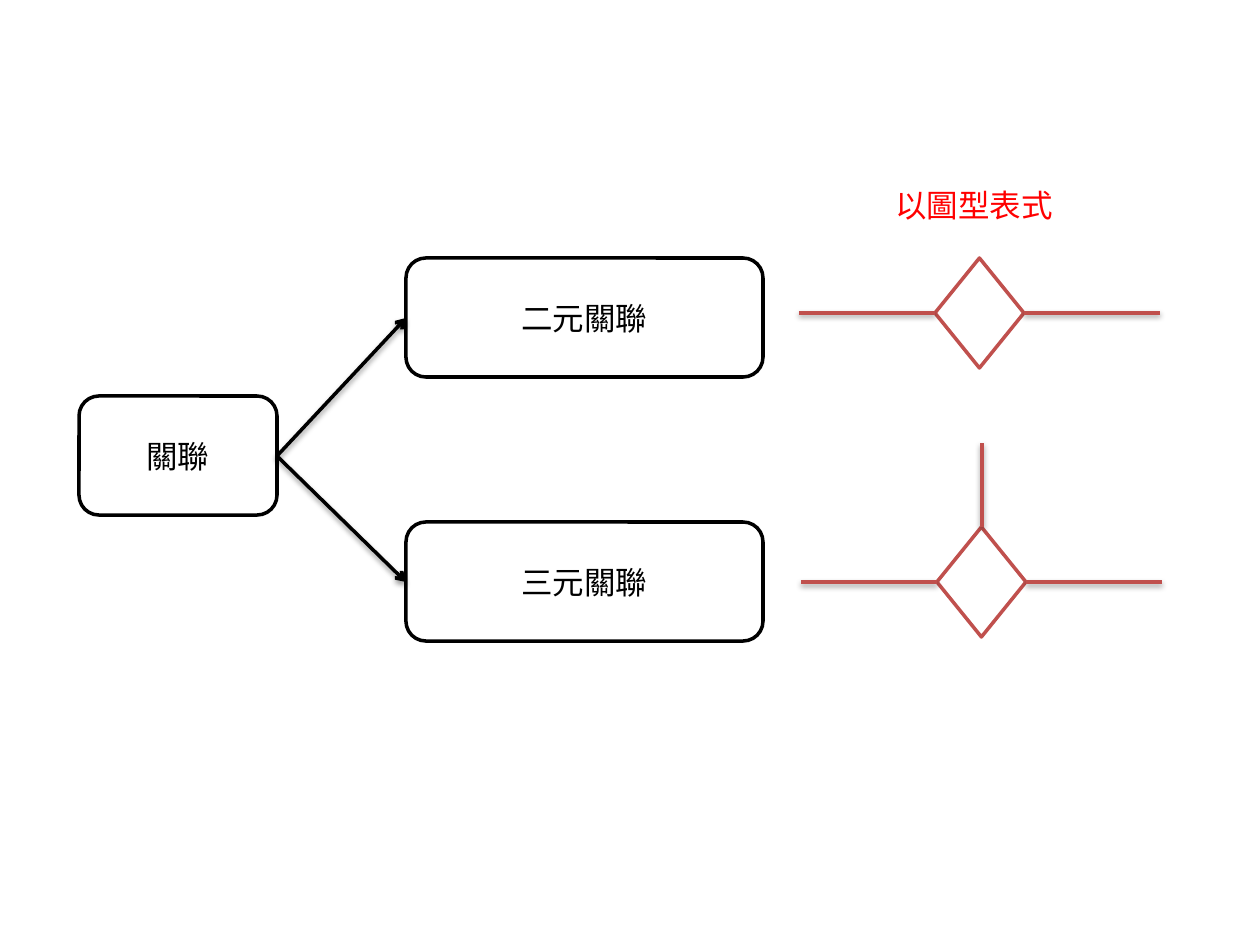
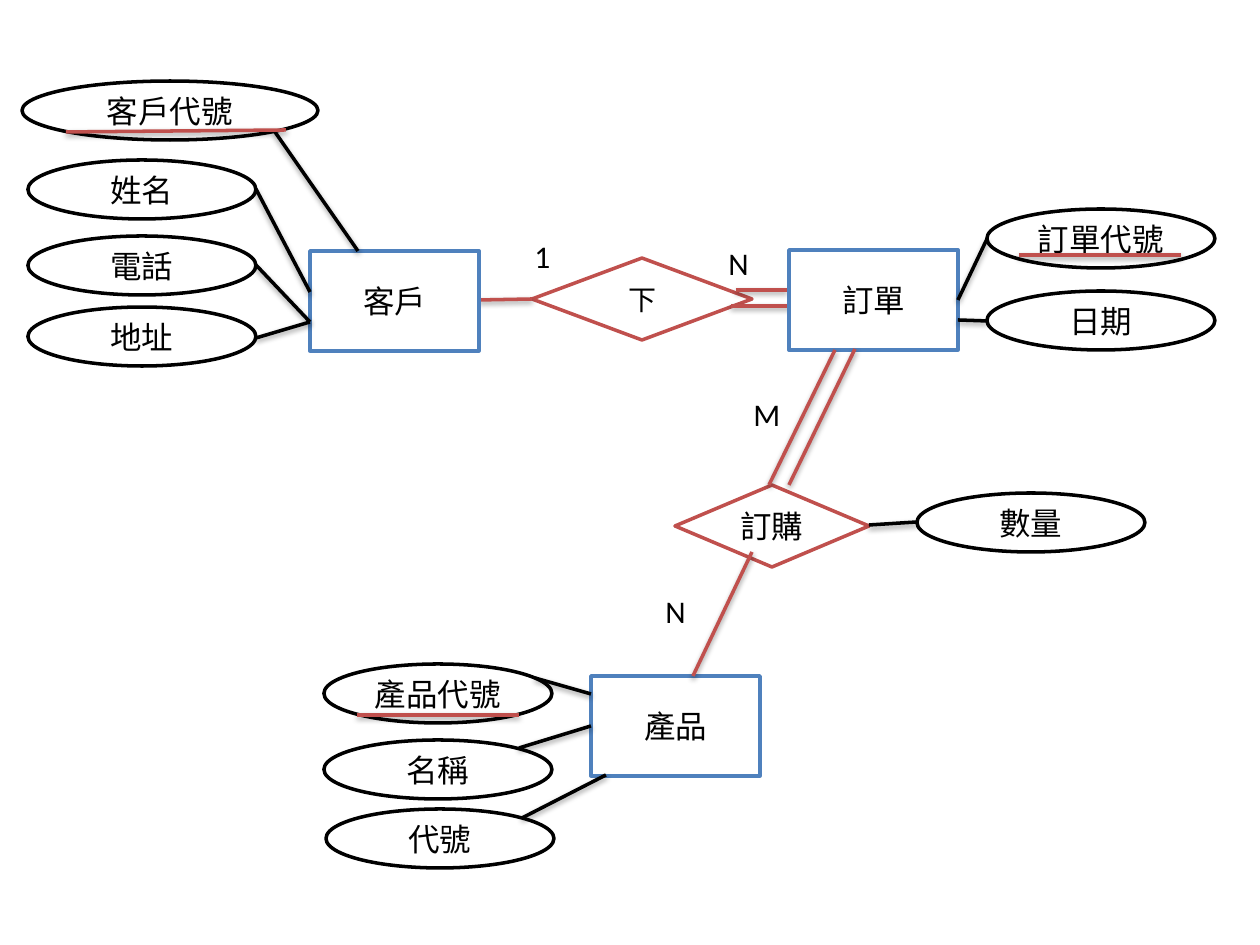
"""Entity-relationship notation and an example diagram, on two slides."""
from dataclasses import dataclass

from lxml import etree
from pptx import Presentation
from pptx import util as u
from pptx.dml.color import RGBColor
from pptx.enum import shapes, text
from pptx.oxml import ns

SCALE = 914400 // 126
FONT = "Calibri"
BLACK, WHITE, RED = "000000", "FFFFFF", "FF0000"
BLUE, BRICK = "4F81BD", "C0504D"
KIND = shapes.MSO_SHAPE


@dataclass
class Node:
    """An outlined shape with centred text."""
    kind: int
    x: int
    y: int
    w: int
    h: int
    words: str = ""
    color: str = BLACK
    size: int = 18


@dataclass
class Link:
    """A straight line between two points."""
    x1: int
    y1: int
    x2: int
    y2: int
    color: str = BLACK
    arrow: bool = False


@dataclass
class Label:
    """A free-standing text."""
    x: int
    y: int
    w: int
    words: str
    color: str = BLACK
    wrap: bool = False


def px(n: float) -> u.Emu:
    """Turn pixels into EMU."""
    return u.Emu(round(n * SCALE))


def rgb(color: str) -> RGBColor:
    """Turn a hex string into a colour."""
    return RGBColor.from_string(color)


def write(tf, words: str, color: str, size: int = 18) -> None:
    """Set the text of a frame and format its run."""
    tf.text = words
    for r in tf.paragraphs[0].runs:
        r.font.name, r.font.size = FONT, u.Pt(size)
        r.font.color.rgb = rgb(color)


def add_node(tree, n: Node) -> None:
    """Draw a node."""
    sp = tree.add_shape(n.kind, px(n.x), px(n.y), px(n.w), px(n.h))
    sp.shadow.inherit = False
    sp.fill.solid()
    sp.fill.fore_color.rgb = rgb(WHITE)
    sp.line.color.rgb, sp.line.width = rgb(n.color), u.Pt(2)
    if n.words:
        tf = sp.text_frame
        write(tf, n.words, BLACK, n.size)
        tf.vertical_anchor = text.MSO_ANCHOR.MIDDLE
        tf.paragraphs[0].alignment = text.PP_ALIGN.CENTER


def add_link(tree, k: Link) -> None:
    """Draw a line with a soft shadow and an optional arrowhead."""
    c = tree.add_connector(shapes.MSO_CONNECTOR.STRAIGHT,
                           px(k.x1), px(k.y1), px(k.x2), px(k.y2))
    c.line.color.rgb, c.line.width = rgb(k.color), u.Pt(2)
    pr = c._element.spPr
    if k.arrow:
        etree.SubElement(pr.find(ns.qn("a:ln")), ns.qn("a:tailEnd"), type="arrow")
    effects = etree.SubElement(pr, ns.qn("a:effectLst"))
    shadow = etree.SubElement(effects, ns.qn("a:outerShdw"), blurRad="40000",
                              dist="20000", dir="5400000", rotWithShape="0")
    tone = etree.SubElement(shadow, ns.qn("a:srgbClr"), val=BLACK)
    etree.SubElement(tone, ns.qn("a:alpha"), val="38000")


def add_label(tree, b: Label) -> None:
    """Draw a label."""
    tf = tree.add_textbox(px(b.x), px(b.y), px(b.w), px(50)).text_frame
    tf.word_wrap = b.wrap
    tf.auto_size = text.MSO_AUTO_SIZE.SHAPE_TO_FIT_TEXT
    write(tf, b.words, b.color)


DRAW = {Node: add_node, Link: add_link, Label: add_label}


def draw(tree, parts: list) -> None:
    """Draw parts from back to front."""
    for part in parts:
        DRAW[type(part)](tree, part)


def box(x: int, y: int, w: int, words: str) -> Node:
    """Return a rounded concept box."""
    return Node(KIND.ROUNDED_RECTANGLE, x, y, w, 119, words)


def entity(x: int, y: int, words: str) -> Node:
    """Return an entity rectangle."""
    return Node(KIND.RECTANGLE, x, y, 169, 100, words, BLUE)


def attribute(x: int, y: int, words: str, w: int = 228) -> Node:
    """Return an attribute ellipse."""
    return Node(KIND.OVAL, x, y, w, 59, words)


def relation(x: int, y: int, w: int, words: str, size: int = 18) -> Node:
    """Return a relationship diamond."""
    return Node(KIND.FLOWCHART_DECISION, x, y, w, 82, words, BRICK, size)


def symbol(x: int, y: int) -> list:
    """Return an empty diamond with a line on either side."""
    w, h, arm = 89, 110, 136
    mid = y + h // 2
    return [Node(KIND.DIAMOND, x, y, w, h, color=BRICK),
            Link(x - arm, mid, x, mid, BRICK),
            Link(x + w, mid, x + w + arm, mid, BRICK)]


NOTATION = [
    box(79, 396, 198, "關聯"),
    box(406, 522, 357, "三元關聯"),
    box(406, 258, 357, "二元關聯"),
    Link(277, 456, 406, 318, arrow=True),
    Link(277, 456, 406, 582, arrow=True),
    *symbol(935, 258),
    *symbol(937, 527),
    Link(982, 527, 982, 443, BRICK),
    Label(883, 180, 194, "以圖型表式", RED, True),
]

CUSTOMER = [
    entity(310, 251, "客戶"),
    attribute(22, 81, "客戶代號", 296),
    attribute(28, 160, "姓名"),
    attribute(28, 236, "電話"),
    attribute(28, 307, "地址"),
    Link(275, 132, 358, 251),
    Link(256, 189, 310, 292),
    Link(256, 265, 310, 322),
    Link(256, 338, 310, 322),
    Link(66, 132, 286, 130, BRICK),
]

ORDER = [
    entity(789, 250, "訂單"),
    attribute(987, 209, "訂單代號"),
    attribute(987, 291, "日期"),
    Link(987, 239, 958, 300),
    Link(987, 321, 958, 320),
    Link(769, 485, 835, 350, BRICK),
]

PRODUCT = [
    entity(591, 676, "產品"),
    attribute(324, 664, "產品代號"),
    attribute(324, 740, "名稱"),
    attribute(326, 809, "代號"),
    Link(519, 748, 591, 726),
    Link(522, 818, 606, 775),
    Link(535, 678, 591, 694),
    Link(357, 715, 519, 715, BRICK),
]

RELATIONS = [
    relation(532, 258, 220, "下", 16),
    Link(479, 300, 532, 299, BRICK),
    Link(736, 290, 787, 290, BRICK),
    Link(731, 306, 792, 306, BRICK),
    Label(522, 231, 42, "1"),
    Label(716, 238, 45, "N"),
    relation(675, 485, 194, "訂購"),
]

DETAILS = [
    Link(693, 676, 752, 552, BRICK),
    Link(789, 485, 855, 349, BRICK),
    Link(1019, 255, 1181, 255, BRICK),
    Label(653, 586, 45, "N"),
    Label(741, 389, 53, "M"),
    attribute(917, 493, "數量"),
    Link(917, 522, 869, 525),
]


def main() -> None:
    """Build and save both slides."""
    prs = Presentation()
    prs.slide_width, prs.slide_height = u.Inches(10), u.Inches(7.5)
    blank = prs.slide_layouts[6]
    draw(prs.slides.add_slide(blank).shapes, NOTATION)
    s = prs.slides.add_slide(blank)
    draw(s.shapes, PRODUCT + RELATIONS)
    for group in (CUSTOMER, ORDER):
        draw(s.shapes.add_group_shape().shapes, group)
    draw(s.shapes, DETAILS)
    prs.save("out.pptx")


main()
